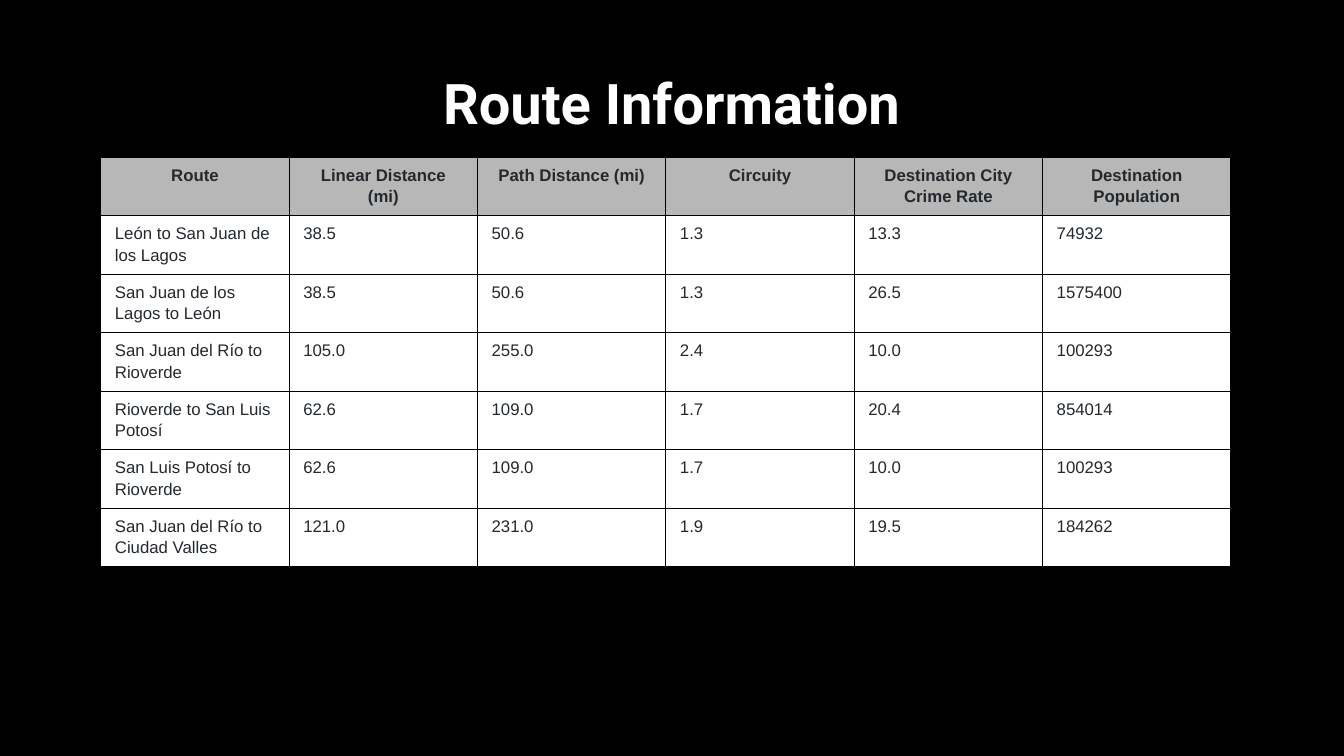
from lxml import etree
from pptx import Presentation, util as u
from pptx.dml.color import RGBColor
from pptx.enum import text
from pptx.oxml import ns

HEADERS = ["Route", "Linear Distance (mi)", "Path Distance (mi)", "Circuity",
           "Destination City Crime Rate", "Destination Population"]
ROUTES = [
    ["León to San Juan de los Lagos", "38.5", "50.6", "1.3", "13.3", "74932"],
    ["San Juan de los Lagos to León", "38.5", "50.6", "1.3", "26.5", "1575400"],
    ["San Juan del Río to Rioverde", "105.0", "255.0", "2.4", "10.0", "100293"],
    ["Rioverde to San Luis Potosí", "62.6", "109.0", "1.7", "20.4", "854014"],
    ["San Luis Potosí to Rioverde", "62.6", "109.0", "1.7", "10.0", "100293"],
    ["San Juan del Río to Ciudad Valles", "121.0", "231.0", "1.9", "19.5", "184262"],
]


def color(value):
    return RGBColor.from_string(value)


def write(tf, content, font="Arial", size=12, fill="24292E", bold=False,
          align=text.PP_ALIGN.LEFT, spacing=1.15, after=0):
    p = tf.paragraphs[0]
    p.alignment = align
    p.line_spacing = spacing
    p.space_after = u.Pt(after)
    r = p.add_run()
    r.text = content
    r.font.name = font
    r.font.size = u.Pt(size)
    r.font.bold = bold
    r.font.color.rgb = color(fill)


class RouteSlide:
    """Holds the slide, its style and a method for each kind of element."""

    line = "000000"
    header_fill = "B7B7B7"
    body_fill = "FFFFFF"

    def __init__(self, prs):
        self.s = prs.slides.add_slide(prs.slide_layouts[6])
        self.s.background.fill.solid()
        self.s.background.fill.fore_color.rgb = color("000000")

    def title(self, content, left, top, width, height):
        sp = self.s.shapes.add_textbox(*map(u.Inches, (left, top, width, height)))
        tf = sp.text_frame
        tf.word_wrap = True
        tf.vertical_anchor = text.MSO_ANCHOR.MIDDLE
        write(tf, content, font="Roboto", size=40, fill="FFFFFF", bold=True,
              align=text.PP_ALIGN.CENTER, spacing=0.9)

    def borders(self, cell):
        tc_pr = cell._tc.get_or_add_tcPr()
        for side in ("lnL", "lnR", "lnT", "lnB"):
            ln = etree.SubElement(tc_pr, ns.qn(f"a:{side}"), w=str(u.Pt(0.75)))
            solid = etree.SubElement(ln, ns.qn("a:solidFill"))
            etree.SubElement(solid, ns.qn("a:srgbClr"), val=self.line)

    def cell(self, cell, content, header):
        cell.margin_left = cell.margin_right = u.Inches(0.14)
        cell.margin_top = cell.margin_bottom = u.Inches(0.06)
        self.borders(cell)
        cell.fill.solid()
        cell.fill.fore_color.rgb = color(self.header_fill if header else self.body_fill)
        align = text.PP_ALIGN.CENTER if header else text.PP_ALIGN.LEFT
        write(cell.text_frame, content, bold=header, align=align, after=12)

    def table(self, rows, left, top, width, height, row_height):
        sp = self.s.shapes.add_table(len(rows), len(rows[0]),
                                     *map(u.Inches, (left, top, width, height)))
        for i, row in enumerate(rows):
            sp.table.rows[i].height = u.Inches(row_height)
            for j, content in enumerate(row):
                self.cell(sp.table.cell(i, j), content, header=i == 0)
        sp.height = u.Inches(height)


def main():
    prs = Presentation()
    prs.slide_width = u.Inches(13.33)
    prs.slide_height = u.Inches(7.5)
    slide = RouteSlide(prs)
    slide.title("Route Information", 1, 0.33, 11.32, 1.45)
    slide.table([HEADERS] + ROUTES, 1, 1.56, 11.21, 3.96, 0.42)
    prs.save("out.pptx")


if __name__ == "__main__":
    main()
